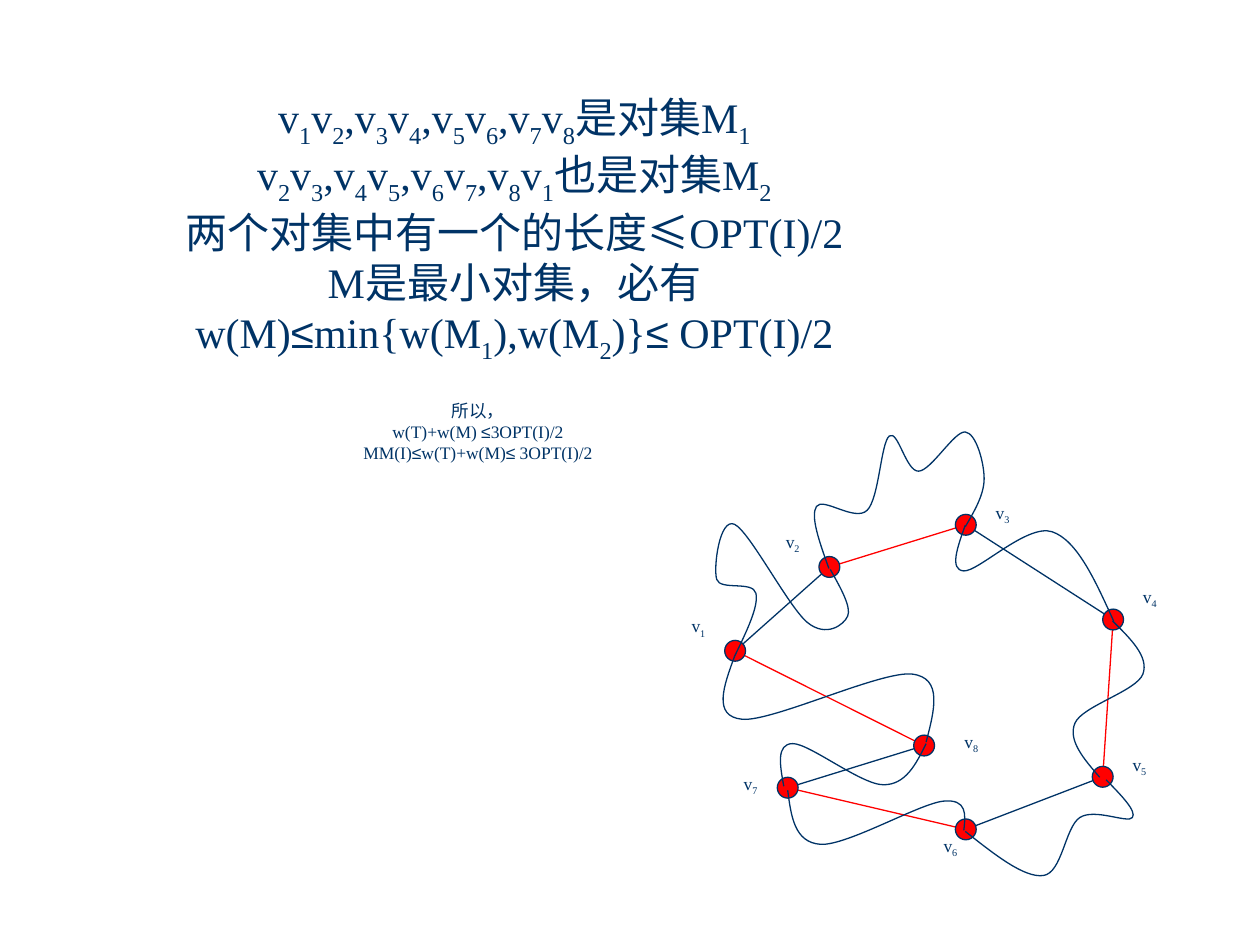
import lxml.etree
import pptx
import pptx.dml.color
import pptx.enum.shapes
import pptx.enum.text
import pptx.oxml.ns
import pptx.util

Cm = pptx.util.Cm
qn = pptx.oxml.ns.qn
COLORS = {"navy": "003366", "red": "FF0000"}


def color(name):
    return pptx.dml.color.RGBColor.from_string(COLORS[name])


def add_text(shapes, text, *, left, top, width, height, size):
    frame = shapes.add_textbox(Cm(left), Cm(top), Cm(width), Cm(height)).text_frame
    frame.word_wrap = True
    frame.auto_size = pptx.enum.text.MSO_AUTO_SIZE.SHAPE_TO_FIT_TEXT
    for index, line in enumerate(text.split("\n")):
        paragraph = frame.add_paragraph() if index else frame.paragraphs[0]
        paragraph.alignment = pptx.enum.text.PP_ALIGN.CENTER
        marked = line.replace("≤", "|≤|")
        for digit in "12345678":
            marked = marked.replace(f"_{digit}", f"|_{digit}|")
        for piece in filter(None, marked.split("|")):
            run = paragraph.add_run()
            run.text = piece.lstrip("_")
            run.font.size = pptx.util.Pt(size)
            run.font.name = "Arial" if piece == "≤" else "Times New Roman"
            run.font.color.rgb = color("navy")
            if piece.startswith("_"):
                run.font._element.set("baseline", "-25000")


presentation = pptx.Presentation()
presentation.slide_width = Cm(25.4)
presentation.slide_height = Cm(19.05)
slide = presentation.slides.add_slide(presentation.slide_layouts[6])
tour = slide.shapes.add_group_shape().shapes
line_width = pptx.util.Pt(0.75)

vertices = [
    (14.82, 13.12), (16.72, 11.43), (19.47, 10.58), (22.44, 12.49),
    (22.23, 15.66), (19.47, 16.72), (15.88, 15.88), (18.63, 15.03),
]
for index, start in enumerate(vertices):
    end = vertices[(index + 1) % len(vertices)]
    edge = tour.add_connector(
        pptx.enum.shapes.MSO_CONNECTOR.STRAIGHT, *map(Cm, start + end))
    edge.line.color.rgb = color("red" if index % 2 else "navy")
    edge.line.width = line_width
    lxml.etree.SubElement(edge._element.spPr, qn("a:effectLst"))

diameter = 0.42
for x, y in vertices:
    dot = tour.add_shape(
        pptx.enum.shapes.MSO_SHAPE.OVAL,
        Cm(x - diameter / 2), Cm(y - diameter / 2), Cm(diameter), Cm(diameter))
    dot.shadow.inherit = False
    dot.fill.solid()
    dot.fill.fore_color.rgb = color("red")
    dot.line.color.rgb = color("navy")
    dot.line.width = line_width

curves = [
    [(16.71, 11.46), (16.46, 10.21), (17.48, 10.29), (17.93, 8.79),
     (18.52, 9.5), (19.46, 8.71), (19.84, 9.65), (19.46, 10.62)],
    [(19.46, 10.59), (19.43, 11.51), (21.21, 10.72), (22.45, 12.52)],
    [(22.43, 12.52), (23.04, 13.59), (21.67, 14.58), (22.17, 15.67)],
    [(22.3, 15.72), (22.83, 16.48), (21.77, 16.48), (21.03, 17.65), (19.46, 16.76)],
    [(19.43, 16.74), (19.02, 16.15), (16.54, 17.02), (15.88, 15.93)],
    [(15.8, 15.85), (15.98, 14.99), (17.81, 15.82), (18.67, 14.99)],
    [(18.67, 14.96), (18.39, 13.59), (14.96, 14.5), (14.81, 13.23)],
    [(14.81, 13.23), (15.24, 11.96), (14.45, 11.68), (14.81, 10.57),
     (16.28, 12.55), (17.09, 12.42), (16.74, 11.48)],
]
for knots in curves:
    controls = []
    for before, knot, after in zip(knots, knots[1:], knots[2:]):
        tangent = [(b - a) / 6 for a, b in zip(before, after)]
        arrive = [k - t for k, t in zip(knot, tangent)]
        leave = [k + t for k, t in zip(knot, tangent)]
        controls += [arrive, knot, leave]
    first = [(a + b) / 2 for a, b in zip(knots[0], controls[0])]
    final = [(a + b) / 2 for a, b in zip(controls[-1], knots[-1])]
    points = [first, *controls, final, knots[-1]]

    builder = tour.build_freeform(*map(Cm, knots[0]))
    builder.add_line_segments([tuple(map(Cm, point)) for point in points], close=False)
    curve = builder.convert_to_shape()
    curve.shadow.inherit = False
    curve.fill.background()
    curve.line.color.rgb = color("navy")
    curve.line.width = line_width

    outline = next(curve._element.iter(qn("a:path")))
    segments = outline.findall(qn("a:lnTo"))
    for index, segment in enumerate(segments):
        if index % 3 == 0:
            bezier = lxml.etree.SubElement(outline, qn("a:cubicBezTo"))
        bezier.append(segment[0])
        outline.remove(segment)

label_corners = [
    (13.34, 12.28), (15.24, 10.58), (19.47, 9.99), (22.44, 11.68),
    (22.23, 15.07), (18.42, 16.71), (14.39, 15.45), (18.84, 14.61),
]
for number, (left, top) in enumerate(label_corners, 1):
    add_text(tour, f"v_{number}", left=left, top=top, width=1.48, height=0.73, size=10)

matchings = """v_1v_2,v_3v_4,v_5v_6,v_7v_8是对集M_1
v_2v_3,v_4v_5,v_6v_7,v_8v_1也是对集M_2
两个对集中有一个的长度≤OPT(I)/2
M是最小对集，必有
w(M)≤min{w(M_1),w(M_2)}≤ OPT(I)/2"""
add_text(slide.shapes, matchings, left=1.48, top=1.72, width=17.78, height=5.77, size=24)

conclusion = """所以，
w(T)+w(M) ≤3OPT(I)/2
MM(I)≤w(T)+w(M)≤ 3OPT(I)/2"""
add_text(slide.shapes, conclusion, left=1.91, top=7.94, width=15.45, height=1.53, size=10)

presentation.save("out.pptx")
